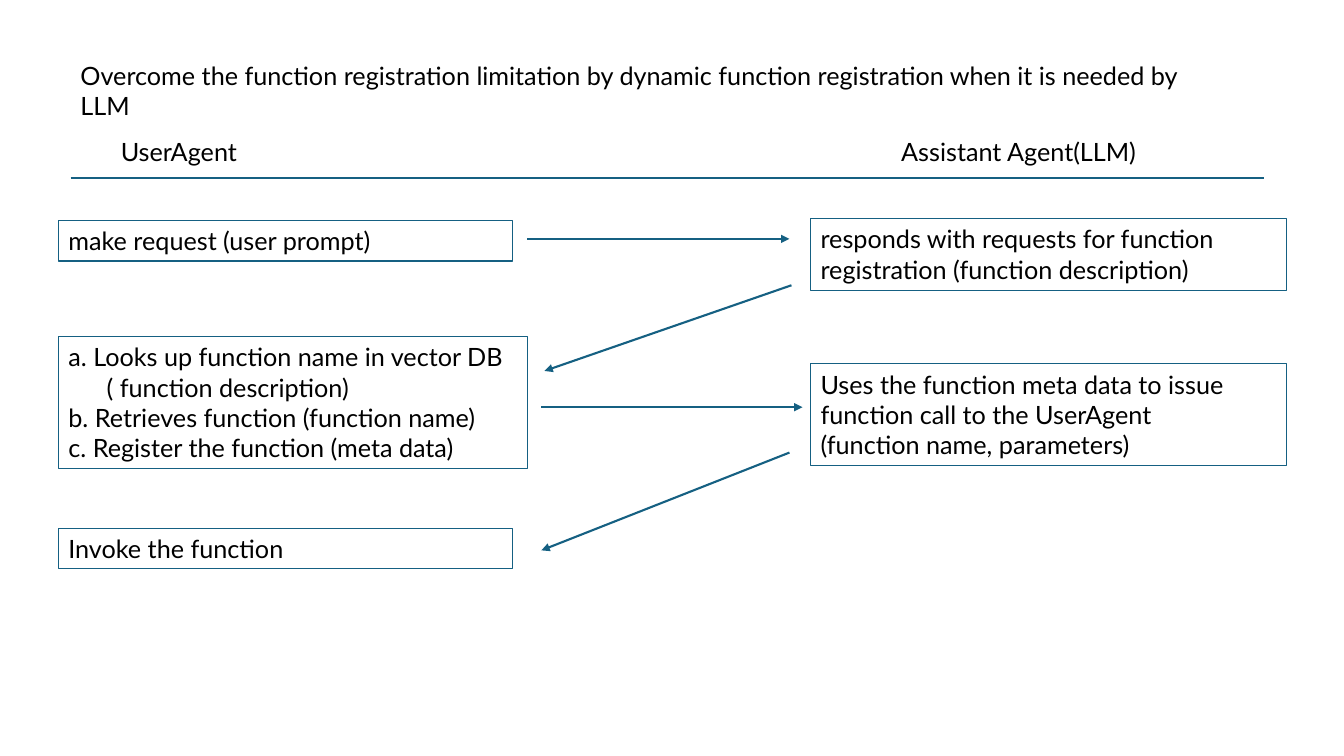
from dataclasses import dataclass

from lxml.etree import SubElement
from pptx import Presentation
from pptx.dml.color import RGBColor
from pptx.enum.shapes import MSO_CONNECTOR, MSO_SHAPE
from pptx.enum.text import MSO_ANCHOR, MSO_AUTO_SIZE, PP_ALIGN
from pptx.oxml.ns import qn
from pptx.shapes.autoshape import Shape
from pptx.slide import Slide
from pptx.util import Inches, Pt

COLORS = {"text": "000000", "accent": "156082"}
FONT = "Lato"
LEFT_X, RIGHT_X = 0.58, 8.04
RIGHT_WIDTH = 4.72
HEADING_Y, LINE_HEIGHT = 1.3, 0.4


@dataclass(frozen=True)
class Label:
    left: float
    top: float
    width: float
    text: str


@dataclass(frozen=True)
class Step:
    left: float
    top: float
    width: float
    height: float
    lines: tuple[str, ...]
    indented: tuple[int, ...] = ()


@dataclass(frozen=True)
class Link:
    start: tuple[float, float]
    end: tuple[float, float]
    arrow: bool = True


LABELS = [
    Label(0.7, 0.55, 11.5, "Overcome the function registration limitation by dynamic "
          "function registration when it is needed by LLM"),
    Label(1.1, HEADING_Y, 1.48, "UserAgent"),
    Label(8.84, HEADING_Y, 2.56, "Assistant Agent(LLM)"),
]

STEPS = [
    Step(LEFT_X, 2.19, 4.5, LINE_HEIGHT, ("make request (user prompt)",)),
    Step(RIGHT_X, 2.17, RIGHT_WIDTH, 0.71,
         ("responds with requests for function registration (function description)",)),
    Step(LEFT_X, 3.34, 4.65, 1.31,
         ("a. Looks up function name in vector DB",
          "( function description)",
          "b. Retrieves function (function name)",
          "c. Register the function (meta data)"), indented=(1,)),
    Step(RIGHT_X, 3.61, RIGHT_WIDTH, 1.01,
         ("Uses the function meta data to issue function call to the UserAgent",
          "(function name, parameters)")),
    Step(LEFT_X, 5.24, 4.5, LINE_HEIGHT, ("Invoke the function",)),
]

LINKS = [
    Link((0.7, 1.77), (12.54, 1.77), arrow=False),
    Link((5.23, 2.37), (7.83, 2.37)),
    Link((7.85, 2.83), (5.4, 3.68)),
    Link((5.37, 4.04), (7.96, 4.04)),
    Link((7.83, 4.49), (5.37, 5.46)),
]


def rgb(name: str) -> RGBColor:
    return RGBColor.from_string(COLORS[name])


def write_text(holder: Shape, lines: tuple[str, ...], *, size: float = 18,
               color: str = "text", indented: tuple[int, ...] = (),
               indent: float = 0.38) -> None:
    frame = holder.text_frame
    frame.word_wrap = True
    frame.auto_size = MSO_AUTO_SIZE.SHAPE_TO_FIT_TEXT
    frame.vertical_anchor = MSO_ANCHOR.TOP
    for index, line in enumerate(lines):
        paragraph = frame.paragraphs[0] if index == 0 else frame.add_paragraph()
        paragraph.alignment = PP_ALIGN.LEFT
        if index in indented:
            paragraph._p.get_or_add_pPr().set("marL", str(Inches(indent)))
        run = paragraph.add_run()
        run.text = line
        run.font.name = FONT
        run.font.size = Pt(size)
        run.font.color.rgb = rgb(color)


def draw_label(slide: Slide, label: Label) -> None:
    holder = slide.shapes.add_textbox(Inches(label.left), Inches(label.top),
                                      Inches(label.width), Inches(LINE_HEIGHT))
    write_text(holder, (label.text,))


def draw_step(slide: Slide, step: Step) -> None:
    box = slide.shapes.add_shape(MSO_SHAPE.RECTANGLE, Inches(step.left), Inches(step.top),
                                 Inches(step.width), Inches(step.height))
    box.shadow.inherit = False
    box.fill.background()
    box.line.color.rgb = rgb("accent")
    box.line.width = Pt(0.75)
    write_text(box, step.lines, indented=step.indented)


def draw_link(slide: Slide, link: Link) -> None:
    connector = slide.shapes.add_connector(
        MSO_CONNECTOR.STRAIGHT, *map(Inches, link.start + link.end))
    connector.line.color.rgb = rgb("accent")
    connector.line.width = Pt(1.5)
    if link.arrow:
        SubElement(connector.line._get_or_add_ln(), qn("a:tailEnd"), type="triangle")
    SubElement(connector._element.spPr, qn("a:effectLst"))


def main() -> None:
    deck = Presentation()
    deck.slide_width, deck.slide_height = Inches(13.33), Inches(7.5)
    slide = deck.slides.add_slide(deck.slide_layouts[6])
    for label in LABELS:
        draw_label(slide, label)
    for step in STEPS:
        draw_step(slide, step)
    for link in LINKS:
        draw_link(slide, link)
    deck.save("out.pptx")


if __name__ == "__main__":
    main()
